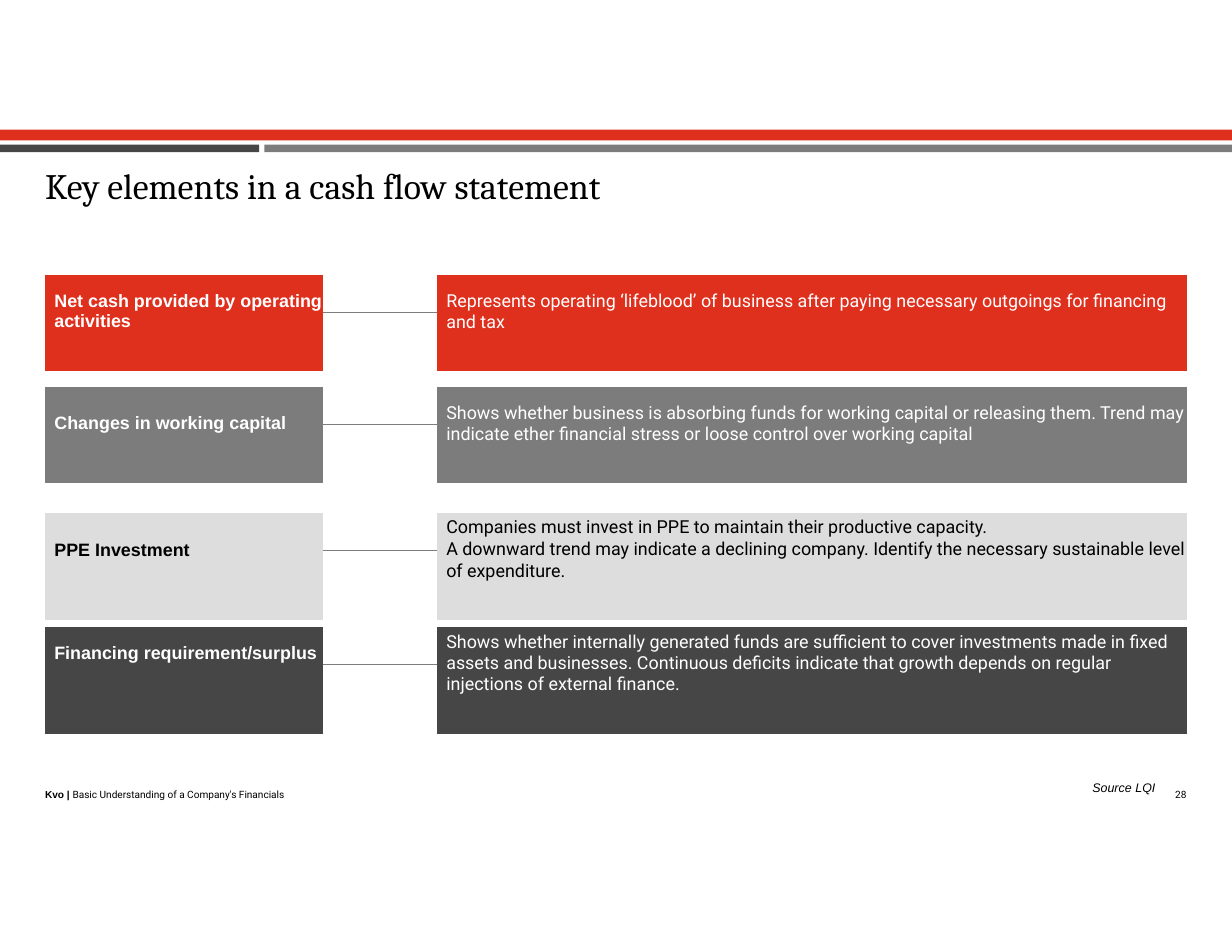
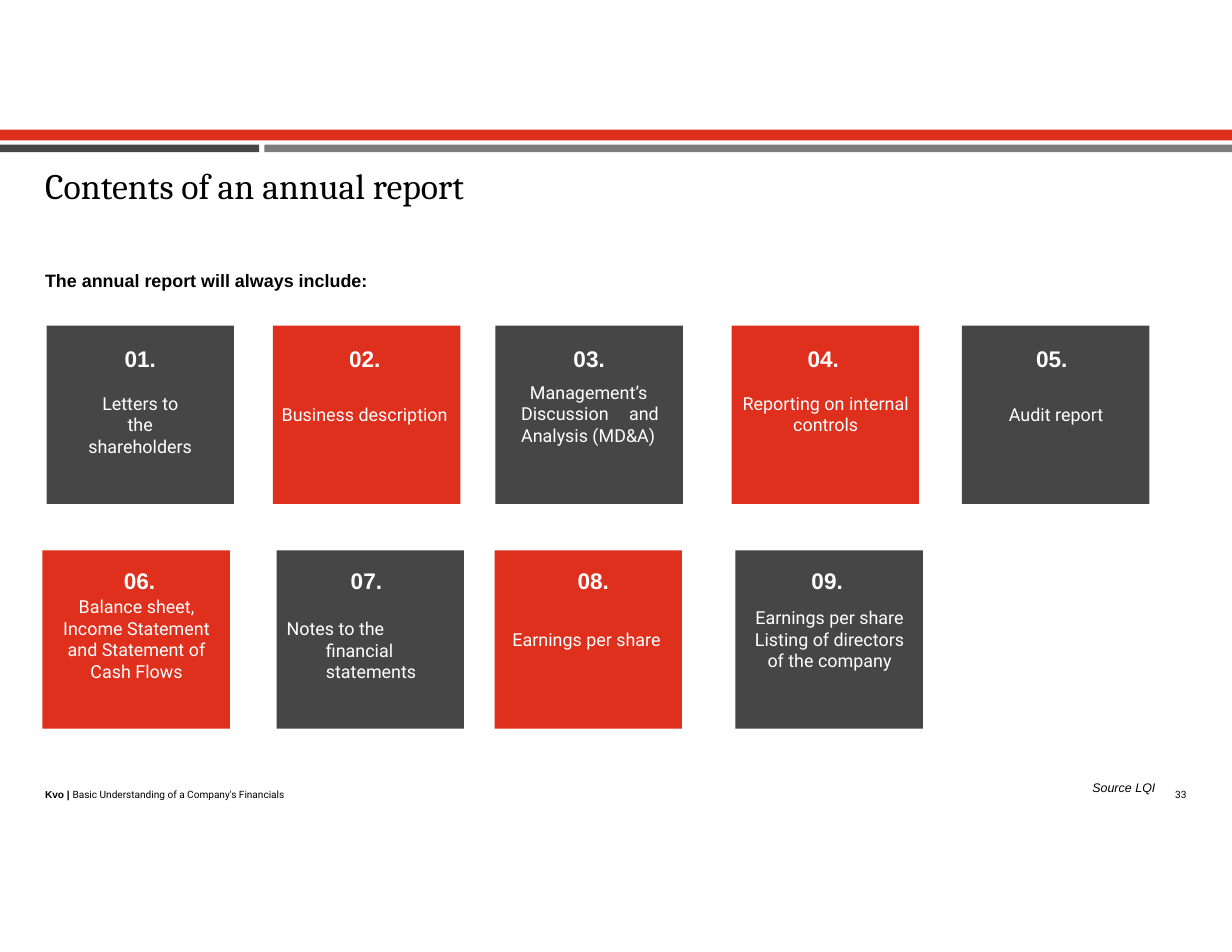
from lxml import etree
from pptx import Presentation
from pptx.dml.color import RGBColor
from pptx.enum.shapes import MSO_SHAPE
from pptx.enum.text import MSO_ANCHOR, PP_ALIGN
from pptx.oxml.ns import qn
from pptx.util import Pt

RECTANGLE = MSO_SHAPE.RECTANGLE
TOP = MSO_ANCHOR.TOP
LEFT, CENTER, JUSTIFY = PP_ALIGN.LEFT, PP_ALIGN.CENTER, PP_ALIGN.JUSTIFY

RED, GREY, DARK, LIGHT = "DF2F1D", "7C7C7C", "464646", "DDDDDD"
WHITE, BLACK = "FFFFFF", "000000"
NO_TABLE_STYLE = "{2D5ABB26-0587-4C30-8999-92F81FD0307C}"

BANDS = [
    (0, 83.3, 792, 6.9, RED),
    (170, 93, 622, 4.8, GREY),
    (0, 93, 166.6, 4.8, DARK),
]
FOOTER_OWNER = "Kvo | "
FOOTER_TITLE = "Basic Understanding of a Company's Financials"
SOURCE = "Source LQI"

ELEMENTS = [
    dict(top=176.8, fill=RED, color=WHITE, label="Net cash provided by operating activities",
         label_inset=10.2, detail_inset=10.2,
         details=["Represents operating ‘lifeblood’ of business after paying necessary "
                  "outgoings for financing and tax"]),
    dict(top=248.8, fill=GREY, color=WHITE, label="Changes in working capital",
         label_inset=16.8, detail_inset=10.2,
         details=["Shows whether business is absorbing funds for working capital or releasing "
                  "them. Trend may indicate ether financial stress or loose control over "
                  "working capital"]),
    dict(top=329.8, fill=LIGHT, color=BLACK, label="PPE Investment",
         label_inset=17.5, detail_inset=2.6,
         details=["Companies must invest in PPE to maintain their productive capacity.",
                  "A downward trend may indicate a declining company. Identify the necessary "
                  "sustainable level of expenditure."]),
    dict(top=403.1, fill=DARK, color=WHITE, label="Financing requirement/surplus",
         label_inset=10.2, detail_inset=3.2,
         details=["Shows whether internally generated funds are sufficient to cover investments "
                  "made in fixed assets and businesses. Continuous deficits indicate that growth "
                  "depends on regular injections of external finance."]),
]
ELEMENT_COLUMNS = (178.7, 73.3, 482.1)
ELEMENT_ROW = 24

REPORT_INTRO = "The annual report will always include:"
REPORT_ROWS = [
    dict(top=209.3, inset=12.2, parts=[
        (29.9, 0, "Letters to the shareholders",
         dict(before=13.3, align=CENTER, left=26.6, right=26.6)),
        (175.5, -2.6, "Business description", dict(before=20.3, align=CENTER, right=2.6)),
        (318.5, 0, "Management’s Discussion and Analysis (MD&A)",
         dict(before=6.3, align=JUSTIFY, left=16.5, right=15.5, first=5.7)),
        (470.3, -2.6, "Reporting on internal controls",
         dict(before=13.3, align=CENTER, left=7, right=6.5)),
        (618.4, -5, "Audit report", dict(before=20.3, left=30.2)),
    ]),
    dict(top=353.8, inset=10.8, parts=[
        (27.3, 4.3, "Balance sheet, Income Statement and Statement of Cash Flows",
         dict(before=1.1, align=CENTER, left=13, right=12.6)),
        (177.8, -5, "Notes to the financial statements",
         dict(before=15.2, left=31.7, right=24, first=-25.2)),
        (317.9, 6.5, "Earnings per share", dict(before=21.9, left=11.5)),
        (472.8, -2.6, "Earnings per share Listing of directors of the company",
         dict(before=8.2, align=CENTER, left=7, right=6.5)),
    ]),
]
CARD_WIDTH, CARD_HEIGHT = 120.5, 114.6


def rgb(value):
    """Turn a hex string into a colour."""
    return RGBColor.from_string(value)


def write(paragraph, text, size=11.5, font="Roboto", color=BLACK, bold=False, italic=False,
          align=LEFT, before=0, left=0, right=0, first=0, line=None):
    """Add a formatted run to a paragraph and set the paragraph's layout."""
    run = paragraph.add_run()
    run.text = text
    run.font.size = Pt(size)
    run.font.name = font
    run.font.color.rgb = rgb(color)
    run.font.bold = bold
    run.font.italic = italic
    paragraph.alignment = align
    paragraph.space_before = Pt(before)
    if line:
        paragraph.line_spacing = Pt(line)
    properties = paragraph._p.get_or_add_pPr()
    for name, length in (("marL", left), ("marR", right), ("indent", first)):
        properties.set(name, str(int(Pt(length))))


def clear_margins(holder, top=0):
    """Remove the inner margins of a text frame or cell, except the top one."""
    holder.margin_left = holder.margin_right = holder.margin_bottom = 0
    holder.margin_top = Pt(top)
    holder.vertical_anchor = TOP


def add_box(slide, x, y, width, height, inset=0.8):
    """Add a wrapping text box and return its first paragraph."""
    frame = slide.shapes.add_textbox(Pt(x), Pt(y), Pt(width), Pt(height)).text_frame
    frame.word_wrap = True
    clear_margins(frame, inset)
    return frame.paragraphs[0]


def add_block(slide, x, y, width, height, fill):
    """Add a plain filled rectangle."""
    block = slide.shapes.add_shape(RECTANGLE, Pt(x), Pt(y), Pt(width), Pt(height))
    block.shadow.inherit = False
    block.fill.solid()
    block.fill.fore_color.rgb = rgb(fill)
    block.line.fill.background()
    return block


def add_page(deck, title, number):
    """Add a slide with the shared bands, title and footer."""
    slide = deck.slides.add_slide(deck.slide_layouts[6])
    for band in BANDS:
        add_block(slide, *band)
    write(add_box(slide, 28.3, 103.7, 619, 31.7, 1.4), title, size=23, font="Cambria", left=0.7)
    write(add_box(slide, 701.5, 500.4, 48, 11.5), SOURCE, size=8, font="Arial",
          italic=True, left=0.7)
    footer = add_box(slide, 28.3, 506.2, 190, 9.4)
    write(footer, FOOTER_OWNER, size=6.5, font="Arial", bold=True, left=0.7)
    write(footer, FOOTER_TITLE, size=6.5, left=0.7)
    write(add_box(slide, 754.8, 506.2, 14, 9.4), number, size=6.5, left=0.7)
    return slide


def underline_cell(cell):
    """Draw a thin grey line along the bottom of a cell."""
    border = etree.Element(qn("a:lnB"), w=str(int(Pt(0.75))))
    fill = etree.SubElement(border, qn("a:solidFill"))
    etree.SubElement(fill, qn("a:srgbClr"), val=GREY)
    cell._tc.get_or_add_tcPr().insert(0, border)


def add_element(slide, element):
    """Add one cash flow element: a label joined by a line to its explanation."""
    table = slide.shapes.add_table(2, 3, Pt(28.9), Pt(element["top"]),
                                   Pt(sum(ELEMENT_COLUMNS)), Pt(2 * ELEMENT_ROW)).table
    table._tbl.tblPr.find(qn("a:tableStyleId")).text = NO_TABLE_STYLE
    table.first_row = table.horz_banding = False
    for column, width in zip(table.columns, ELEMENT_COLUMNS):
        column.width = Pt(width)
    for row in table.rows:
        row.height = Pt(ELEMENT_ROW)
    for cell in table.iter_cells():
        clear_margins(cell)
        cell.fill.background()
    label, link, detail = (table.cell(0, column) for column in range(3))
    underline_cell(link)
    for cell, column, inset in ((label, 0, element["label_inset"]),
                                (detail, 2, element["detail_inset"])):
        cell.merge(table.cell(1, column))
        clear_margins(cell, inset)
        cell.fill.solid()
        cell.fill.fore_color.rgb = rgb(element["fill"])
    write(label.text_frame.paragraphs[0], element["label"], font="Arial", bold=True,
          color=element["color"], left=6)
    frame = detail.text_frame
    for index, text in enumerate(element["details"]):
        paragraph = frame.add_paragraph() if index else frame.paragraphs[0]
        write(paragraph, text, color=element["color"], left=6,
              before=0.4 if index else 0, line=13.9 if index else None)


def add_card(slide, x, y, inset, number, shift, text, layout):
    """Add one numbered report part; shift moves its number right or left."""
    fill = DARK if number % 2 else RED
    if number > 5:
        fill = RED if number % 2 == 0 else DARK
    frame = add_block(slide, x, y, CARD_WIDTH, CARD_HEIGHT, fill).text_frame
    frame.word_wrap = True
    clear_margins(frame, inset)
    write(frame.paragraphs[0], f"{number:02d}.", size=14.5, font="Arial", bold=True,
          color=WHITE, align=CENTER, left=max(shift, 0), right=max(-shift, 0))
    write(frame.add_paragraph(), text, color=WHITE, **layout)


def main():
    """Build and save both slides."""
    deck = Presentation()
    deck.slide_width, deck.slide_height = Pt(792), Pt(612)

    cash_flow = add_page(deck, "Key elements in a cash flow statement", "28")
    for element in ELEMENTS:
        add_element(cash_flow, element)

    report = add_page(deck, "Contents of an annual report", "33")
    write(add_box(report, 28.3, 172.3, 230, 15.8), REPORT_INTRO, font="Arial",
          bold=True, left=0.7)
    number = 0
    for row in REPORT_ROWS:
        for x, shift, text, layout in row["parts"]:
            number += 1
            add_card(report, x, row["top"], row["inset"], number, shift, text, layout)

    deck.save("out.pptx")


if __name__ == "__main__":
    main()
